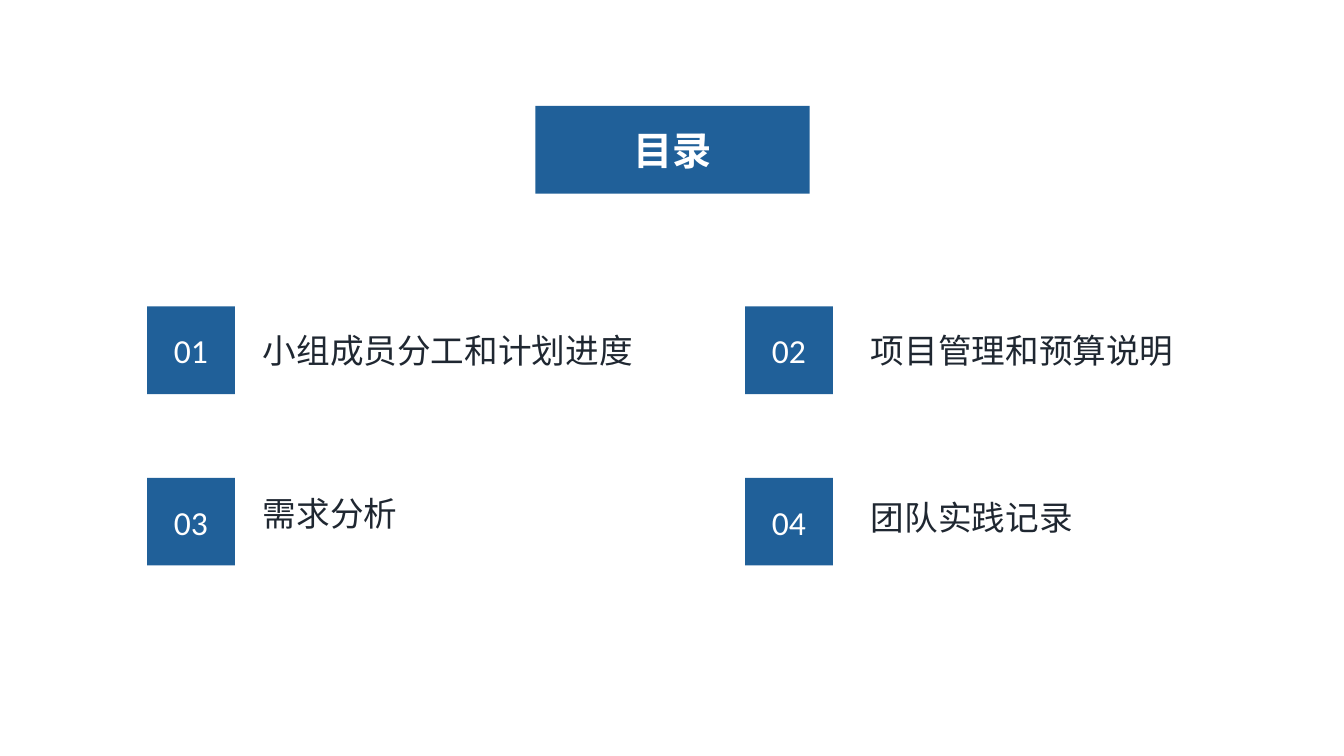
import pptx
import pptx.dml.color
import pptx.enum.shapes
import pptx.enum.text
import pptx.util

Inches = pptx.util.Inches
SHAPES = pptx.enum.shapes.MSO_SHAPE
COLORS = {"blue": "206099", "ink": "1F2731", "white": "FFFFFF"}
FONT = "Calibri"
BADGE = 0.87
CHAR_WIDTH = 0.336
LABEL_PADDING = 0.2
COLUMNS = [(1.46, 1.05), (7.39, 1.15)]
ROWS = [3.04, 4.74]
ENTRIES = [
    ("小组成员分工和计划进度", 0.18),
    ("项目管理和预算说明", 0.18),
    ("需求分析", 0.10),
    ("团队实践记录", 0.14),
]


def rgb(name):
    return pptx.dml.color.RGBColor.from_string(COLORS[name])


def add_run(p, text, size, color, bold=False):
    r = p.add_run()
    r.text = text
    r.font.name = FONT
    r.font.size = pptx.util.Pt(size)
    r.font.bold = bold
    r.font.color.rgb = rgb(color)


def add_block(slide, kind, box, text, size, bold=False):
    sp = slide.shapes.add_shape(kind, *map(Inches, box))
    sp.shadow.inherit = False
    sp.fill.solid()
    sp.fill.fore_color.rgb = rgb("blue")
    sp.line.fill.background()
    tf = sp.text_frame
    tf.vertical_anchor = pptx.enum.text.MSO_ANCHOR.MIDDLE
    p = tf.paragraphs[0]
    p.alignment = pptx.enum.text.PP_ALIGN.CENTER
    add_run(p, text, size, "white", bold)
    return sp


def add_title(slide, box):
    sp = add_block(slide, SHAPES.ROUNDED_RECTANGLE, box, "目录", 28, True)
    sp.adjustments[0] = 0


def add_entry(slide, left, top, number, text, dx, dy):
    add_block(slide, SHAPES.RECTANGLE, (left, top, BADGE, BADGE), f"{number:02d}", 24)
    width = LABEL_PADDING + CHAR_WIDTH * len(text)
    label = slide.shapes.add_textbox(
        Inches(left + dx), Inches(top + dy), Inches(width), Inches(0.5)
    )
    tf = label.text_frame
    tf.word_wrap = False
    tf.auto_size = pptx.enum.text.MSO_AUTO_SIZE.SHAPE_TO_FIT_TEXT
    add_run(tf.paragraphs[0], text, 24, "ink")


def add_contents(slide):
    for i, (text, dy) in enumerate(ENTRIES):
        row, col = divmod(i, len(COLUMNS))
        left, dx = COLUMNS[col]
        add_entry(slide, left, ROWS[row], i + 1, text, dx, dy)


def main():
    prs = pptx.Presentation()
    prs.slide_width = Inches(13.33)
    prs.slide_height = Inches(7.5)
    slide = prs.slides.add_slide(prs.slide_layouts[6])
    add_title(slide, (5.31, 1.05, 2.72, BADGE))
    add_contents(slide)
    prs.save("out.pptx")


if __name__ == "__main__":
    main()
